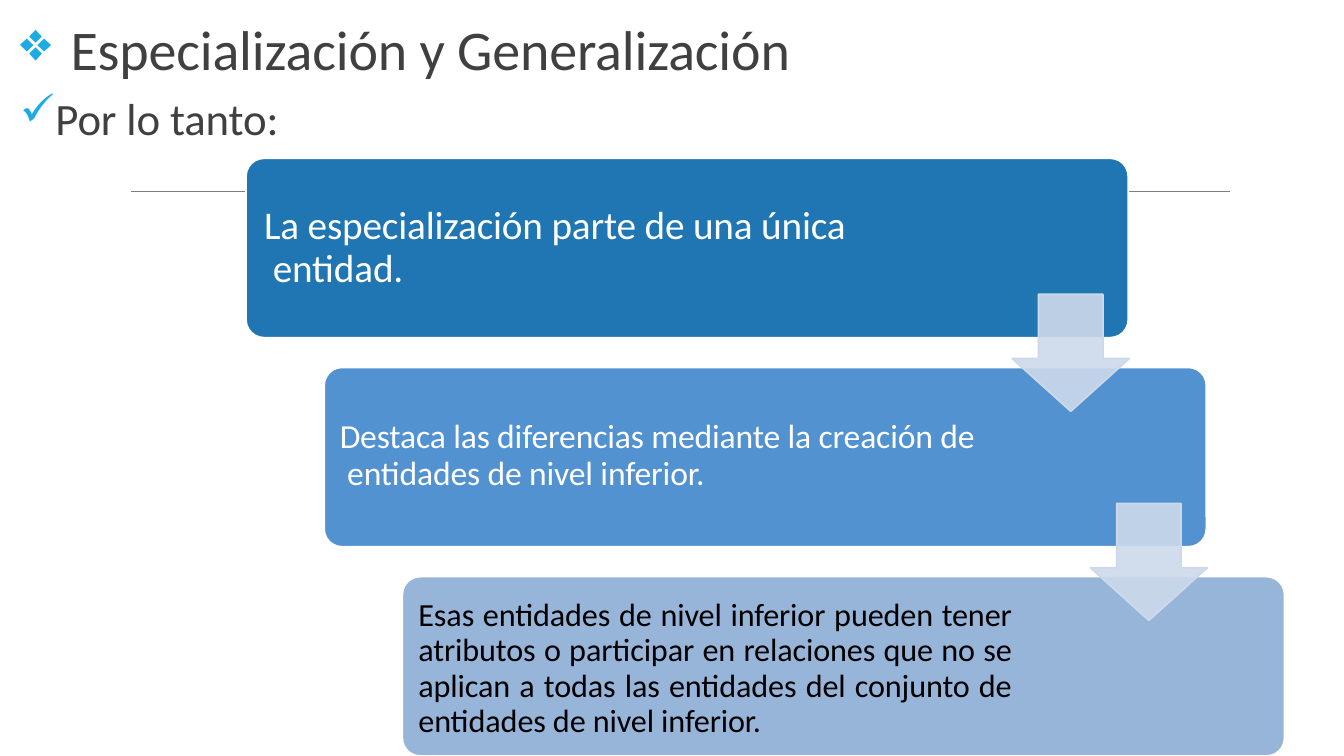
from lxml.etree import SubElement
from pptx import Presentation
from pptx.dml.color import RGBColor
from pptx.enum.shapes import MSO_CONNECTOR, MSO_SHAPE
from pptx.enum.text import PP_ALIGN
from pptx.oxml.ns import qn
from pptx.util import Inches, Pt

COLORS = {
    "rule": "7E7E7E", "white": "FFFFFF", "black": "000000",
    "text": "404040", "bullet": "1CACE3", "arrow": "CDD9EA",
    "dark": "2076B3", "mid": "5292D0", "light": "97B4D9",
}
LEFT, TOP = 2.44, 1.57
STEP_X, STEP_Y = 0.775, 2.075
WIDTH, HEIGHT = 8.75, 1.78
ARROW = 1.16


def color(name):
    return RGBColor.from_string(COLORS[name])


def add_rule(slide):
    rule = slide.shapes.add_connector(
        MSO_CONNECTOR.STRAIGHT, Inches(1.3), Inches(1.9), Inches(12.2), Inches(1.9))
    rule.line.color.rgb = color("rule")
    rule.line.width = Pt(0.5)
    SubElement(rule._element.spPr, qn("a:effectLst"))


def add_solid(slide, kind, area, fill, line, adjust):
    shape = slide.shapes.add_shape(kind, *map(Inches, area))
    shape.shadow.inherit = False
    shape.fill.solid()
    shape.fill.fore_color.rgb = color(fill)
    shape.line.color.rgb = color(line)
    shape.line.width = Pt(1.25)
    for index, value in enumerate(adjust):
        shape.adjustments[index] = value
    return shape


def add_card(slide, row, fill):
    area = (LEFT + row * STEP_X, TOP + row * STEP_Y, WIDTH, HEIGHT)
    add_solid(slide, MSO_SHAPE.ROUNDED_RECTANGLE, area, fill, "white", [0.1])


def add_arrow(slide, row):
    area = (10.04 + row * STEP_X, 2.92 + row * STEP_Y, ARROW, ARROW)
    arrow = add_solid(slide, MSO_SHAPE.DOWN_ARROW, area, "arrow", "arrow", [0.55, 0.45])
    tint = arrow._element.spPr.find(qn("a:solidFill"))[0]
    SubElement(tint, qn("a:alpha"), val="90000")


def add_frame(slide, area, inset):
    frame = slide.shapes.add_textbox(*map(Inches, area)).text_frame
    frame.word_wrap = True
    frame.margin_left = frame.margin_right = frame.margin_bottom = 0
    frame.margin_top = Inches(inset)
    return frame


def set_text(para, text, size, ink):
    para.text = text
    para.font.name = "Calibri"
    para.font.size = Pt(size)
    para.font.color.rgb = color(ink)
    for run in para.runs:
        run._r.get_or_add_rPr().set("spc", "-10")


def set_bullet(para, mark, indent, before):
    para.space_before = Pt(before)
    props = para._p.get_or_add_pPr()
    props.set("marL", str(Inches(indent)))
    props.set("indent", str(-Inches(indent - 0.01)))
    tint = SubElement(props, qn("a:buClr"))
    SubElement(tint, qn("a:srgbClr"), val=COLORS["bullet"])
    SubElement(props, qn("a:buSzPct"), val="98000")
    SubElement(props, qn("a:buChar"), char=mark)
    tabs = SubElement(props, qn("a:tabLst"))
    SubElement(tabs, qn("a:tab"), pos=str(Inches(indent)), algn="l")
    font = props.find(qn("a:defRPr"))
    if font is not None:
        props.append(font)


def add_head(slide):
    frame = add_frame(slide, (0.19, 0.01, 8.27, 1.45), 0.13)
    title = frame.paragraphs[0]
    set_text(title, "Especialización y Generalización", 40, "text")
    set_bullet(title, "❖", 0.51, 9.3)
    lead = frame.add_paragraph()
    set_text(lead, "Por lo tanto:", 32, "text")
    set_bullet(lead, "✓", 0.36, 6.7)


def add_body(slide, area, text, size, ink, space, align=PP_ALIGN.LEFT):
    para = add_frame(slide, area, 0.05).paragraphs[0]
    set_text(para, text, size, ink)
    para.line_spacing = space
    para.alignment = align


def main():
    deck = Presentation()
    deck.slide_width, deck.slide_height = Inches(13.33), Inches(7.5)
    slide = deck.slides.add_slide(deck.slide_layouts[6])
    add_rule(slide)
    for row, fill in enumerate(("dark", "mid", "light")):
        add_card(slide, row, fill)
    add_head(slide)
    add_body(slide, (2.62, 1.98, 6.2, 0.92),
             "La especialización parte de una única\v entidad.",
             28, "white", Pt(30.7))
    add_body(slide, (3.37, 4.1, 6.6, 0.8),
             "Destaca las diferencias mediante la creación de\v entidades de nivel inferior.",
             24, "white", Pt(26.4))
    add_body(slide, (4.15, 5.88, 5.89, 1.47),
             "Esas entidades de nivel inferior pueden tener atributos o participar en "
             "relaciones que no se aplican a todas las entidades del conjunto de "
             "entidades de nivel inferior.",
             23, "black", 0.92, PP_ALIGN.JUSTIFY)
    for row in range(2):
        add_arrow(slide, row)
    deck.save("out.pptx")


if __name__ == "__main__":
    main()
